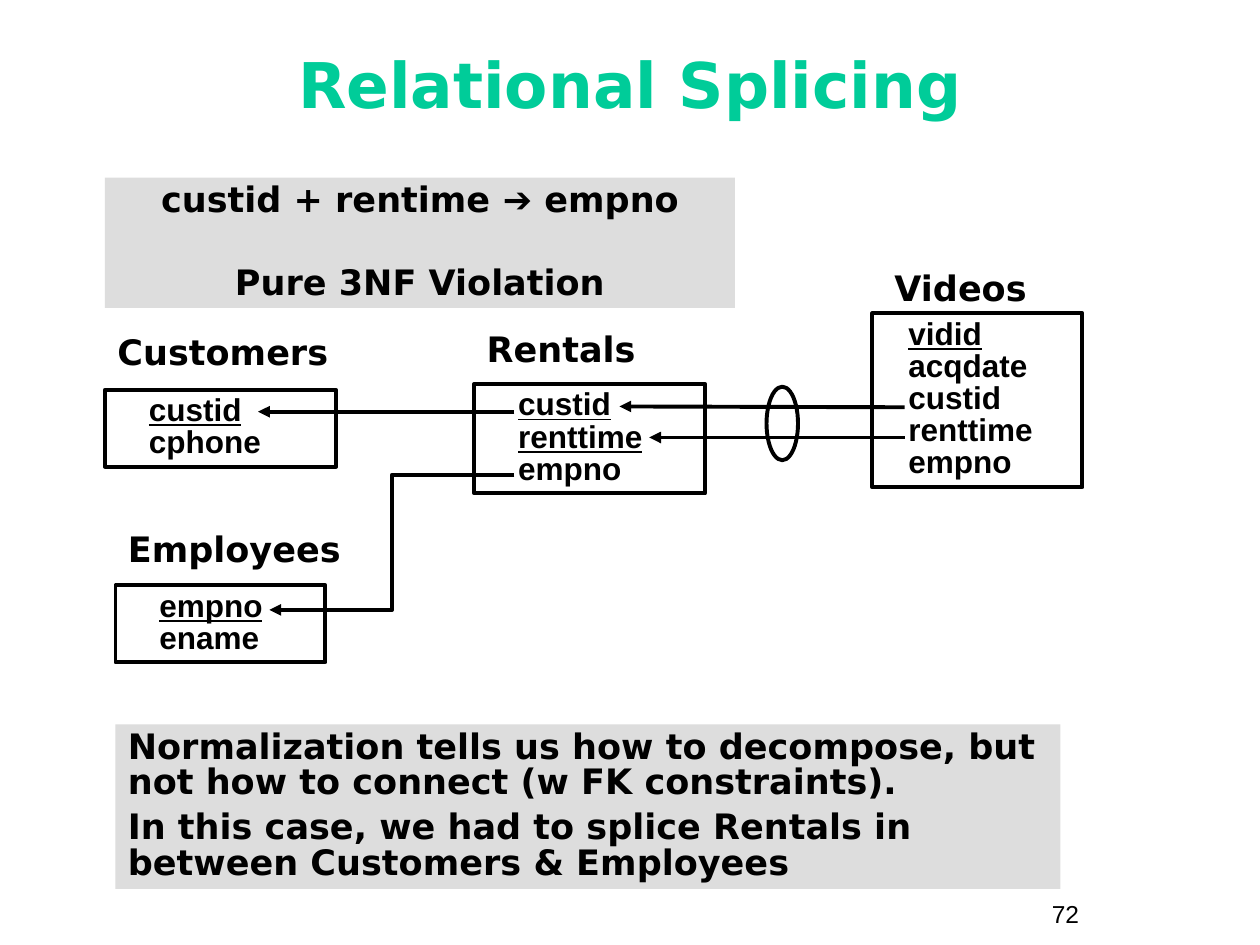
"""Build the Relational Splicing slide with its table diagram."""
import pptx
import pptx.dml.color
import pptx.enum.shapes
import pptx.enum.text
import pptx.oxml
import pptx.oxml.ns
import pptx.util

Pt = pptx.util.Pt
SHAPE = pptx.enum.shapes.MSO_SHAPE
CONNECTOR = pptx.enum.shapes.MSO_CONNECTOR
ALIGN = pptx.enum.text.PP_ALIGN
ANCHOR = pptx.enum.text.MSO_ANCHOR
SANS, ARIAL = "DejaVu Sans", "Arial"


def color(hex_text):
    return pptx.dml.color.RGBColor.from_string(hex_text)


def write(p, text, font, size, fill="000000", bold=True, underline=False):
    r = p.add_run()
    r.text = text
    r.font.name, r.font.size = font, Pt(size)
    r.font.bold, r.font.underline = bold, underline
    r.font.color.rgb = color(fill)


prs = pptx.Presentation()
prs.slide_width, prs.slide_height = Pt(720), Pt(540)
s = prs.slides.add_slide(prs.slide_layouts[5])

sp = s.shapes.title
sp.left, sp.top, sp.width, sp.height = Pt(24), Pt(24), Pt(672), Pt(54)
tf = sp.text_frame
tf.auto_size = pptx.enum.text.MSO_AUTO_SIZE.NONE
tf.vertical_anchor = ANCHOR.MIDDLE
p = tf.paragraphs[0]
p.alignment, p.line_spacing = ALIGN.CENTER, 0.85
write(p, "Relational Splicing", SANS, 36, "00CC99")

labels = [
    ("Videos", 504, 149, 101, SANS, 20, True),
    ("Employees", 66, 298, 155, SANS, 20, True),
    ("Customers", 60, 185.5, 155, SANS, 20, True),
    ("Rentals", 271, 183.5, 155, SANS, 20, True),
    ("72", 594, 510, 66, ARIAL, 14, False),
]
for text, x, y, w, font, size, bold in labels:
    tf = s.shapes.add_textbox(Pt(x), Pt(y), Pt(w), Pt(size + 11)).text_frame
    tf.word_wrap = True
    write(tf.paragraphs[0], text, font, size, bold=bold)

tables = [
    (498.5, 179, 120, 99.5, 13.5, 1, ["vidid", "acqdate", "custid", "renttime", "empno"]),
    (66, 334.5, 120, 44, 18, 1, ["empno", "ename"]),
    (60, 222.75, 132, 44, 18, 1, ["custid", "cphone"]),
    (271, 219.5, 132, 62.5, 18, 2, ["custid", "renttime", "empno"]),
]
for x, y, w, h, indent, keys, columns in tables:
    sp = s.shapes.add_shape(SHAPE.RECTANGLE, Pt(x), Pt(y), Pt(w), Pt(h))
    sp.shadow.inherit = False
    sp.fill.background()
    sp.line.color.rgb, sp.line.width = color("000000"), Pt(2.25)
    tf = sp.text_frame
    tf.vertical_anchor = ANCHOR.TOP
    for i, column in enumerate(columns):
        p = tf.add_paragraph() if i else tf.paragraphs[0]
        p.alignment, p.line_spacing = ALIGN.LEFT, 0.85
        p._p.get_or_add_pPr().set("marL", str(Pt(indent)))
        write(p, column, ARIAL, 18, underline=i < keys)

links = [
    (CONNECTOR.STRAIGHT, 294, 235.25, 147.5, 235.25),
    (CONNECTOR.ELBOW, 294, 271.25, 154, 348.5),
    (CONNECTOR.STRAIGHT, 517, 232.75, 354, 232.25),
    (CONNECTOR.STRAIGHT, 517, 250, 371, 250),
]
for kind, x1, y1, x2, y2 in links:
    sp = s.shapes.add_connector(kind, Pt(x1), Pt(y1), Pt(x2), Pt(y2))
    sp.line.color.rgb, sp.line.width = color("000000"), Pt(2.25)
    ln = sp.line._get_or_add_ln()
    ln.append(pptx.oxml.parse_xml(
        f'<a:tailEnd {pptx.oxml.ns.nsdecls("a")} type="triangle"/>'))
    ln.getparent().append(pptx.oxml.parse_xml(
        f'<a:effectLst {pptx.oxml.ns.nsdecls("a")}/>'))

sp = s.shapes.add_shape(SHAPE.OVAL, Pt(438), Pt(221), Pt(18), Pt(42))
sp.shadow.inherit = False
sp.fill.background()
sp.line.color.rgb, sp.line.width = color("000000"), Pt(2.25)

notes = [
    (60, 101.5, 360, 74.5, ALIGN.CENTER, 27, [
        [("custid + rentime ", SANS), ("➔", ARIAL), (" empno", SANS)],
        [("Pure 3NF Violation", SANS)],
    ]),
    (66, 414, 540, 94, ALIGN.LEFT, 5, [
        [("Normalization tells us how to decompose, but not how to connect"
          " (w FK constraints).", SANS)],
        [("In this case, we had to splice Rentals in between Customers"
          " & Employees", SANS)],
    ]),
]
for x, y, w, h, align, gap, paragraphs in notes:
    sp = s.shapes.add_shape(SHAPE.RECTANGLE, Pt(x), Pt(y), Pt(w), Pt(h))
    sp.shadow.inherit = False
    sp.fill.solid()
    sp.fill.fore_color.rgb = color("DDDDDD")
    sp.line.fill.background()
    tf = sp.text_frame
    tf.vertical_anchor = ANCHOR.TOP
    for i, runs in enumerate(paragraphs):
        p = tf.add_paragraph() if i else tf.paragraphs[0]
        p.alignment, p.line_spacing = align, 0.85
        p.space_before = Pt(gap if i else 0)
        for text, font in runs:
            write(p, text, font, 20)

prs.save("out.pptx")
